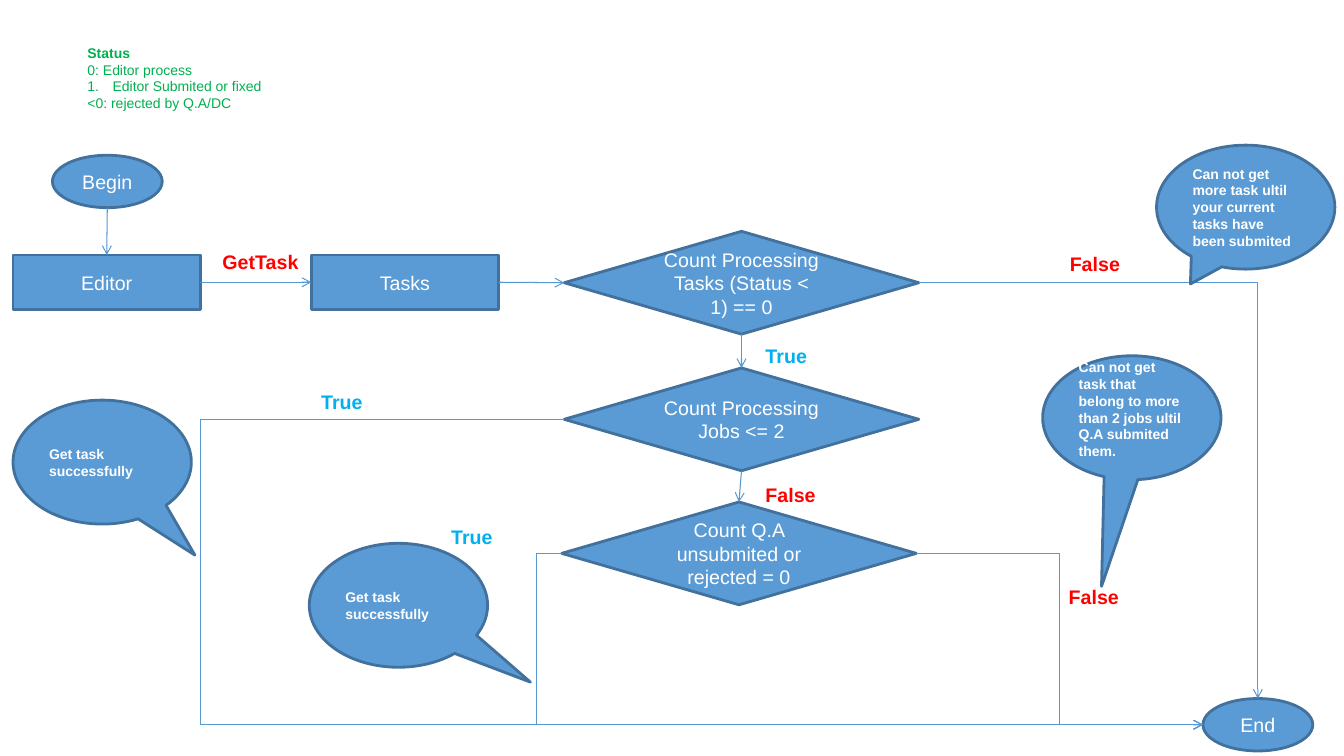
from dataclasses import dataclass

from lxml.etree import SubElement
from pptx import Presentation
from pptx.dml.color import RGBColor
from pptx.enum.shapes import MSO_CONNECTOR as Link, MSO_SHAPE as Form
from pptx.enum.text import MSO_ANCHOR as Anchor, PP_ALIGN as Align
from pptx.oxml.ns import qn
from pptx.util import Inches, Pt

CELL = 0.1  # inches: the slide is 133.4 columns by 75 rows
COLUMNS, ROWS = 133.4, 75
TOP, LEFT, BOTTOM, RIGHT = range(4)
FILL, EDGE, WIRE = "5B9BD5", "41719C", "5698D3"
WHITE, RED, CYAN, GREEN = "FFFFFF", "FF0000", "00B0F0", "00B050"


@dataclass
class Step:
    key: str
    form: Form
    col: float
    row: float
    text: str


@dataclass
class Flow:
    source: str
    source_side: int
    target: str
    target_side: int
    bend: float | None = None
    corner: bool = False


@dataclass
class Label:
    text: str
    col: float
    row: float
    color: str
    width: float = 11.3
    wrap: bool = True


@dataclass
class Callout:
    text: str
    col: float
    row: float
    tip: tuple[float, float]
    lift: float = 0


SIZES = {Form.RECTANGLE: (18.6, 5.4), Form.OVAL: (10.9, 5.2),
         Form.FLOWCHART_DECISION: (35.2, 10.2)}
CALLOUT_SIZE = (17.7, 12.3)

STEPS = [
    Step("begin", Form.OVAL, 5.2, 15.4, "Begin"),
    Step("editor", Form.RECTANGLE, 1.3, 25.3, "Editor"),
    Step("tasks", Form.RECTANGLE, 30.9, 25.3, "Tasks"),
    Step("status", Form.FLOWCHART_DECISION, 56, 22.95,
         "Count Processing Tasks (Status < 1) == 0"),
    Step("jobs", Form.FLOWCHART_DECISION, 56, 36.5, "Count Processing Jobs <= 2"),
    Step("review", Form.FLOWCHART_DECISION, 55.75, 49.8,
         "Count Q.A unsubmited or rejected = 0"),
    Step("end", Form.OVAL, 119.4, 69.3, "End"),
]

FLOWS = [
    Flow("begin", BOTTOM, "editor", TOP),
    Flow("editor", RIGHT, "tasks", LEFT),
    Flow("tasks", RIGHT, "status", LEFT),
    Flow("status", BOTTOM, "jobs", TOP),
    Flow("jobs", BOTTOM, "review", TOP),
    Flow("status", RIGHT, "end", TOP, corner=True),
    Flow("review", RIGHT, "end", LEFT, bend=0.5),
    Flow("jobs", LEFT, "end", LEFT, bend=-0.57),
    Flow("review", LEFT, "end", LEFT, bend=-0.04),
]

LABELS = [
    Label("GetTask", 21.1, 24.3, RED, 9.7, wrap=False),
    Label("False", 105.2, 24.5, RED),
    Label("True", 75, 33.6, CYAN),
    Label("False", 75, 47.4, RED),
    Label("False", 105.1, 57.5, RED, 7.3),
    Label("True", 30.9, 38.2, CYAN),
    Label("True", 43.8, 51.6, CYAN),
]

CALLOUTS = [
    Callout("Can not get task that belong to more than 2 jobs ultil Q.A submited them.",
            103.5, 35.3, (-0.17, 1.36), lift=1.7),
    Callout("Can not get more task ultil your current tasks have been submited",
            114.8, 14.4, (-0.31, 0.62)),
    Callout("Get task successfully", 1.3, 39.7, (0.52, 0.75)),
    Callout("Get task successfully", 30.7, 53.9, (0.74, 0.62)),
]

STATUS_LEGEND = ["Status", "0: Editor process", "Editor Submited or fixed",
                 "<0: rejected by Q.A/DC"]


def cells(count: float) -> int:
    return Inches(count * CELL)


def rgb(color: str) -> RGBColor:
    return RGBColor.from_string(color)


def write(paragraph, text: str, *, size: float = 14, color: str = WHITE,
          bold: bool = False, align: Align = Align.LEFT) -> None:
    paragraph.alignment = align
    run = paragraph.add_run()
    run.text = text
    run.font.name, run.font.size, run.font.bold = "Arial", Pt(size), bold
    run.font.color.rgb = rgb(color)


def add_block(slide, form: Form, col: float, row: float, size: tuple[float, float]):
    block = slide.shapes.add_shape(form, *map(cells, (col, row, *size)))
    block.shadow.inherit = False
    block.fill.solid()
    block.fill.fore_color.rgb = rgb(FILL)
    block.line.color.rgb = rgb(EDGE)
    block.line.width = Pt(2)
    block.text_frame.word_wrap = True
    block.text_frame.vertical_anchor = Anchor.MIDDLE
    return block


def add_text_area(slide, col: float, row: float, width: float, height: float, wrap: bool = True):
    frame = slide.shapes.add_textbox(*map(cells, (col, row, width, height))).text_frame
    frame.word_wrap = wrap
    return frame


def side_point(block, side: int) -> tuple[int, int]:
    across, down = {TOP: (1, 0), LEFT: (0, 1), BOTTOM: (1, 2), RIGHT: (2, 1)}[side]
    return block.left + block.width * across // 2, block.top + block.height * down // 2


def site(block, side: int) -> int:
    # An oval has eight connection sites, the other forms four
    return side * 2 if block.auto_shape_type == Form.OVAL else side


def add_flow(slide, flow: Flow, blocks: dict) -> None:
    source, target = blocks[flow.source], blocks[flow.target]
    start, finish = side_point(source, flow.source_side), side_point(target, flow.target_side)
    straight = flow.bend is None and not flow.corner
    wire = slide.shapes.add_connector(Link.STRAIGHT if straight else Link.ELBOW, *start, *finish)
    if site(source, flow.source_side) <= RIGHT:
        wire.begin_connect(source, site(source, flow.source_side))
    wire.end_connect(target, site(target, flow.target_side))
    wire.begin_x, wire.begin_y = start
    wire.end_x, wire.end_y = finish
    wire.line.color.rgb = rgb(WIRE)
    wire.line.width = Pt(0.75)

    # Arrowhead, route and empty effect list
    properties = wire._element.spPr
    SubElement(properties.find(qn("a:ln")), qn("a:tailEnd"), type="arrow")
    SubElement(properties, qn("a:effectLst"))
    geometry = properties.find(qn("a:prstGeom"))
    if flow.corner:
        geometry.set("prst", "bentConnector2")
    elif flow.bend is not None:
        SubElement(geometry.find(qn("a:avLst")), qn("a:gd"), name="adj1",
                   fmla=f"val {round(flow.bend * 100000)}")


def number_item(paragraph, color: str) -> None:
    properties = paragraph._p.get_or_add_pPr()
    properties.set("marL", str(Inches(0.25)))
    properties.set("indent", str(-Inches(0.25)))
    SubElement(SubElement(properties, qn("a:buClr")), qn("a:srgbClr"), val=color)
    SubElement(properties, qn("a:buFont"), typeface="+mj-lt")
    SubElement(properties, qn("a:buAutoNum"), type="arabicPeriod")


def main() -> None:
    deck = Presentation()
    deck.slide_width, deck.slide_height = cells(COLUMNS), cells(ROWS)
    slide = deck.slides.add_slide(deck.slide_layouts[6])

    # Steps and the flows between them
    blocks = {}
    for step in STEPS:
        block = add_block(slide, step.form, step.col, step.row, SIZES[step.form])
        write(block.text_frame.paragraphs[0], step.text, align=Align.CENTER)
        blocks[step.key] = block
    for flow in FLOWS:
        add_flow(slide, flow, blocks)

    # Branch labels
    for label in LABELS:
        area = add_text_area(slide, label.col, label.row, label.width, 3.4, label.wrap)
        write(area.paragraphs[0], label.text, color=label.color, bold=True)

    # Callouts
    for callout in CALLOUTS:
        bubble = add_block(slide, Form.OVAL_CALLOUT, callout.col, callout.row, CALLOUT_SIZE)
        bubble.adjustments[0], bubble.adjustments[1] = callout.tip
        bubble.text_frame.margin_bottom = cells(0.5 + callout.lift)
        write(bubble.text_frame.paragraphs[0], callout.text, size=10, bold=True)

    # Status legend
    legend = add_text_area(slide, 7.7, 3.9, 19.6, 7.7)
    for index, entry in enumerate(STATUS_LEGEND):
        paragraph = legend.add_paragraph() if index else legend.paragraphs[0]
        write(paragraph, entry, size=10, color=GREEN, bold=index == 0)
    number_item(legend.paragraphs[2], GREEN)

    deck.save("out.pptx")


if __name__ == "__main__":
    main()
